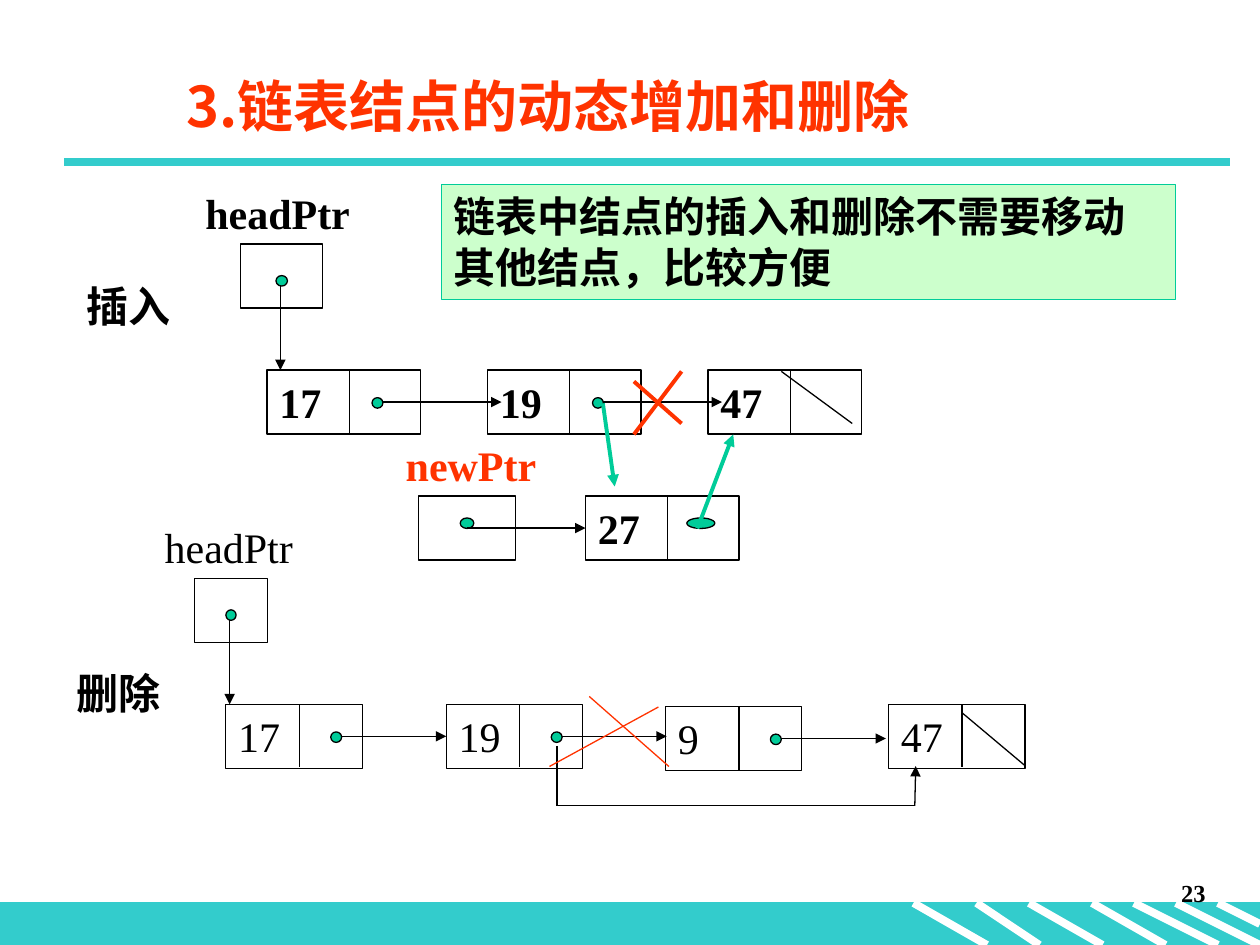
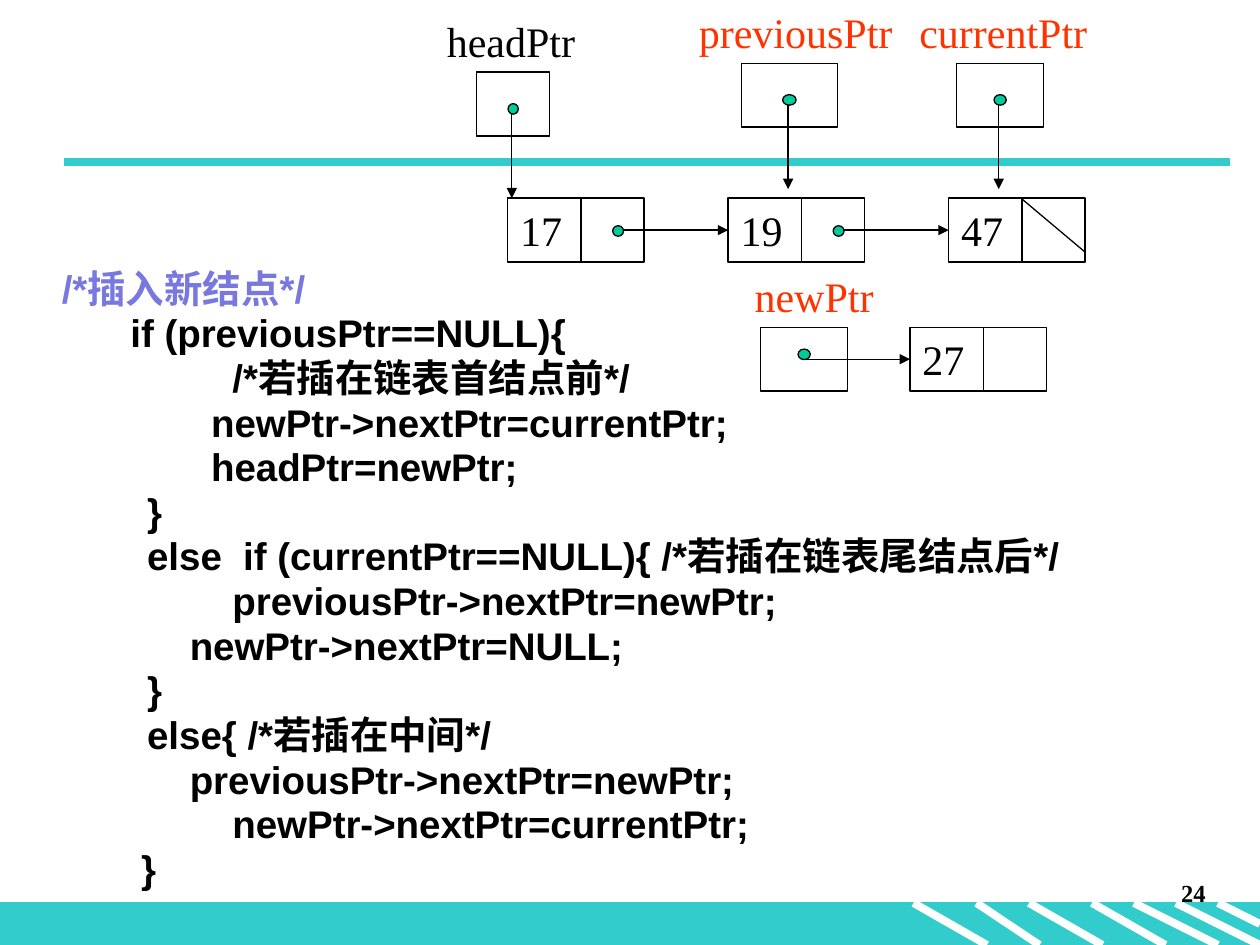
from dataclasses import dataclass
from typing import NamedTuple, Optional

from lxml.etree import SubElement
from pptx import Presentation
from pptx.dml.color import RGBColor
from pptx.enum.shapes import MSO_CONNECTOR, MSO_SHAPE
from pptx.enum.text import MSO_ANCHOR, PP_ALIGN
from pptx.oxml.ns import qn
from pptx.shapes.autoshape import Shape
from pptx.shapes.connector import Connector
from pptx.slide import Slide
from pptx.text.text import TextFrame
from pptx.util import Pt

COLORS = {
    "black": "000000",
    "white": "FFFFFF",
    "band": "33CCCC",
    "red": "FF3300",
    "green": "00CC99",
    "pale_green": "CCFFCC",
    "comment": "7878DE",
}
SERIF, SANS, TITLE_FONT = "Times New Roman", "Arial", "Noto Sans CJK SC"
NODE_STEP = 126
CELL_HEIGHT = 36.5
LINK_HEIGHT = CELL_HEIGHT / 2
LEFT_SIDE = 1

CODE_LINES = [
    "/*插入新结点*/",
    "\t  if (previousPtr==NULL){",
    "                /*若插在链表首结点前*/",
    "              newPtr->nextPtr=currentPtr;",
    "              headPtr=newPtr;",
    "        }",
    "        else  if (currentPtr==NULL){ /*若插在链表尾结点后*/",
    "                previousPtr->nextPtr=newPtr;",
    "            newPtr->nextPtr=NULL;",
    "        }",
    "        else{ /*若插在中间*/",
    "            previousPtr->nextPtr=newPtr;",
    "                newPtr->nextPtr=currentPtr;",
    "\t   }",
]


class Area(NamedTuple):
    left: float
    top: float
    width: float
    height: float


class Stroke(NamedTuple):
    start_x: float
    start_y: float
    end_x: float
    end_y: float
    color: str = "black"
    weight: float = 0.75
    arrow: bool = False


@dataclass(frozen=True)
class TextStyle:
    size: float = 24
    font: str = SERIF
    color: str = "black"
    bold: bool = False
    asian_font: str = SANS


@dataclass(frozen=True)
class Node:
    value: str
    left: float
    top: float
    width: float = 78
    divider: float = 42
    bold: bool = False


@dataclass(frozen=True)
class Pointer:
    label: str
    left: float
    top: float
    width: float
    label_left: float
    label_width: float
    color: str = "black"
    bold: bool = False


BOLD = TextStyle(bold=True)
CODE = TextStyle(22, SANS, bold=True)
TITLE = TextStyle(32, TITLE_FONT, "red", True, TITLE_FONT)
PAGE_NUMBER = TextStyle(14, bold=True)

STRIPES = [
    Stroke(start, 516, end, 540, "white", 4.5)
    for start, end in [(522, 564), (558, 594), (588, 630), (624, 666), (648, 696), (672, 720)]
] + [Stroke(696, 516, 720, 528, "white", 4.5)]
TITLE_RULE = Stroke(36.75, 92.5, 702.75, 92.5, "band", 4.5)

BIG_NODES = [
    Node(value, 152.6 + NODE_STEP * index, 211.5, 87.75, 47, True)
    for index, value in enumerate(["17", "19", "47"])
]
BIG_NEW_NODE = Node("27", 334.6, 283.5, 87.75, 47, True)
BIG_HEAD = Pointer("headPtr", 137.5, 139.5, 47, 110.25, 107, bold=True)
BIG_NEW = Pointer("newPtr", 239, 283.5, 55.75, 224.75, 110, "red", True)
DELETE_NODES = [
    Node("17", 129, 402.5),
    Node("19", 255, 402.5),
    Node("9", 380.25, 403.75),
    Node("47", 507.75, 402.5),
]
DELETE_HEAD = Pointer("headPtr", 111, 330.5, 42, 87, 96)
INSERT_STROKES = [
    Stroke(389.5, 212.25, 362.25, 248.25, "red", 2.25),
    Stroke(362.25, 218, 389.5, 242, "red", 2.25),
    Stroke(344.5, 230.5, 351.25, 278, "green", 2.25, True),
    Stroke(398.5, 302, 419, 248.25, "green", 2.25, True),
    Stroke(446.5, 212.25, 487, 242),
]
DELETE_STROKES = [
    Stroke(550, 407.5, 586, 437.75),
    Stroke(318.25, 426.25, 318.25, 460.5),
    Stroke(318.25, 460.5, 522.75, 460.5),
    Stroke(522.75, 460.5, 523.25, 437.75, arrow=True),
    Stroke(376.25, 404, 314, 438, "red"),
    Stroke(336.75, 398, 382.25, 438, "red"),
]

LIST_NODES = [
    Node(value, 290.1 + NODE_STEP * index, 113.25)
    for index, value in enumerate(["17", "19", "47"])
]
NEW_NODE = Node("27", 520, 187)
LIST_POINTERS = [
    Pointer("headPtr", 272.25, 41.25, 42, 248.25, 96),
    Pointer("previousPtr", 423.6, 36.1, 55, 392.25, 126, "red"),
    Pointer("currentPtr", 546.5, 36.1, 50, 518.25, 114, "red"),
]
NEW_POINTER = Pointer("newPtr", 434.5, 187, 50, 424.1, 96, "red")


def rgb(name: str) -> RGBColor:
    return RGBColor.from_string(COLORS[name])


def write_text(frame: TextFrame, text: str, style: TextStyle) -> None:
    frame.word_wrap = True
    frame.vertical_anchor = MSO_ANCHOR.TOP
    frame.text = text
    for para in frame.paragraphs:
        para.alignment = PP_ALIGN.LEFT
        format_spans(para.runs, style)


def format_spans(spans: tuple, style: TextStyle) -> None:
    for span in spans:
        span.font.size = Pt(style.size)
        span.font.bold = style.bold
        span.font.color.rgb = rgb(style.color)
        span.font.name = style.font
        properties = span.font._element
        SubElement(properties, qn("a:ea")).set("typeface", style.asian_font)


def draw_text(page: Slide, area: Area, text: str, style: TextStyle) -> Shape:
    box = page.shapes.add_textbox(*map(Pt, area))
    write_text(box.text_frame, text, style)
    return box


def draw_shape(page: Slide, area: Area, fill: Optional[str] = None, line: str = "black",
               kind: MSO_SHAPE = MSO_SHAPE.RECTANGLE) -> Shape:
    box = page.shapes.add_shape(kind, *map(Pt, area))
    box.shadow.inherit = False
    if fill:
        box.fill.solid()
        box.fill.fore_color.rgb = rgb(fill)
    else:
        box.fill.background()
    box.line.color.rgb = rgb(line)
    box.line.width = Pt(0.75)
    return box


def draw_dot(page: Slide, area: Area) -> None:
    draw_shape(page, area, "green", kind=MSO_SHAPE.OVAL)


def draw_stroke(page: Slide, stroke: Stroke) -> Connector:
    connector = page.shapes.add_connector(MSO_CONNECTOR.STRAIGHT, *map(Pt, stroke[:4]))
    connector.line.color.rgb = rgb(stroke.color)
    connector.line.width = Pt(stroke.weight)
    if stroke.arrow:
        SubElement(connector.line._get_or_add_ln(), qn("a:tailEnd")).set("type", "triangle")
    SubElement(connector._element.spPr, qn("a:effectLst"))
    return connector


def draw_node(page: Slide, node: Node) -> Shape:
    box = draw_shape(page, Area(node.left, node.top, node.width, CELL_HEIGHT))
    write_text(box.text_frame, node.value, TextStyle(bold=node.bold))
    divider = node.left + node.divider
    draw_stroke(page, Stroke(divider, node.top, divider, node.top + 36))
    return box


def draw_link(page: Slide, node: Node, reach: float, target: Optional[Shape] = None) -> None:
    height = node.top + LINK_HEIGHT
    link = draw_stroke(page, Stroke(node.left + 66, height, node.left + reach, height, arrow=True))
    if target:
        link.end_connect(target, LEFT_SIDE)
    draw_dot(page, Area(node.left + 60, height - 2.5, 6.25, 6))


def draw_pointer(page: Slide, pointer: Pointer, target: Optional[Shape] = None) -> None:
    left, top, width = pointer.left, pointer.top, pointer.width
    center = left + width / 2
    draw_shape(page, Area(left, top, width, CELL_HEIGHT))
    draw_text(page, Area(pointer.label_left, top - 36, pointer.label_width, 36),
              pointer.label, TextStyle(color=pointer.color, bold=pointer.bold))
    dot_width = 0.14 * width
    dot_top = top + (12.5 if target else 18)
    draw_dot(page, Area(center - dot_width / 2, dot_top, dot_width, 6))
    if target:
        height = top + LINK_HEIGHT
        link = draw_stroke(page, Stroke(center, height, center + 67, height, arrow=True))
        link.end_connect(target, LEFT_SIDE)
    else:
        draw_stroke(page, Stroke(center - 0.75, top + 24, center - 0.75, top + 72, arrow=True))


def add_page(deck: Presentation, number: int) -> Slide:
    page = deck.slides.add_slide(deck.slide_layouts[6])
    draw_shape(page, Area(0, 516, 720, 24), "band", "band")
    for stroke in [*STRIPES, TITLE_RULE]:
        draw_stroke(page, stroke)
    box = draw_text(page, Area(546, 498, 150, 36), str(number), PAGE_NUMBER)
    box.text_frame.paragraphs[0].alignment = PP_ALIGN.RIGHT
    return page


def build_insert_and_delete(deck: Presentation) -> None:
    page = add_page(deck, 23)
    title = draw_text(page, Area(99.5, 31.5, 612, 57), "3.链表结点的动态增加和删除", TITLE)
    title.text_frame.vertical_anchor = MSO_ANCHOR.MIDDLE

    for node in BIG_NODES:
        draw_node(page, node)
    for node in BIG_NODES[:-1]:
        draw_link(page, node, 134)
    draw_pointer(page, BIG_HEAD)
    draw_pointer(page, BIG_NEW, draw_node(page, BIG_NEW_NODE))
    draw_dot(page, Area(392.5, 296, 16, 6))

    boxes = [draw_node(page, node) for node in DELETE_NODES]
    for node, target in zip(DELETE_NODES, [boxes[1], None, None]):
        draw_link(page, node, NODE_STEP, target)
    draw_pointer(page, DELETE_HEAD)
    for stroke in INSERT_STROKES + DELETE_STROKES:
        draw_stroke(page, stroke)

    note = draw_shape(page, Area(252.25, 105.5, 419.5, 65.5), "pale_green", "green")
    write_text(note.text_frame, "链表中结点的插入和删除不需要移动其他结点，比较方便", BOLD)
    draw_text(page, Area(42.5, 157, 85, 36), "插入", BOLD)
    draw_text(page, Area(36.75, 378, 85, 36), "删除", BOLD)


def build_insert_code(deck: Presentation) -> None:
    page = add_page(deck, 24)
    boxes = [draw_node(page, node) for node in LIST_NODES]
    for node, target in zip(LIST_NODES, boxes[1:]):
        draw_link(page, node, NODE_STEP, target)
    for pointer in LIST_POINTERS:
        draw_pointer(page, pointer)
    draw_stroke(page, Stroke(584, 113.75, 620, 144))
    draw_pointer(page, NEW_POINTER, draw_node(page, NEW_NODE))

    box = draw_text(page, Area(28.25, 152.75, 604, 312), "\n".join(CODE_LINES), CODE)
    paras = box.text_frame.paragraphs
    for index, para in enumerate(paras):
        para.line_spacing = 0.8
        para.space_before = Pt(4.4 if index else 0)
        properties = para._p.get_or_add_pPr()
        properties.set("marL", str(Pt(27)))
        properties.set("indent", str(Pt(-27)))
    paras[0].runs[0].font.color.rgb = rgb("comment")


def main() -> None:
    deck = Presentation()
    deck.slide_width, deck.slide_height = Pt(720), Pt(540)
    build_insert_and_delete(deck)
    build_insert_code(deck)
    deck.save("out.pptx")


if __name__ == "__main__":
    main()
